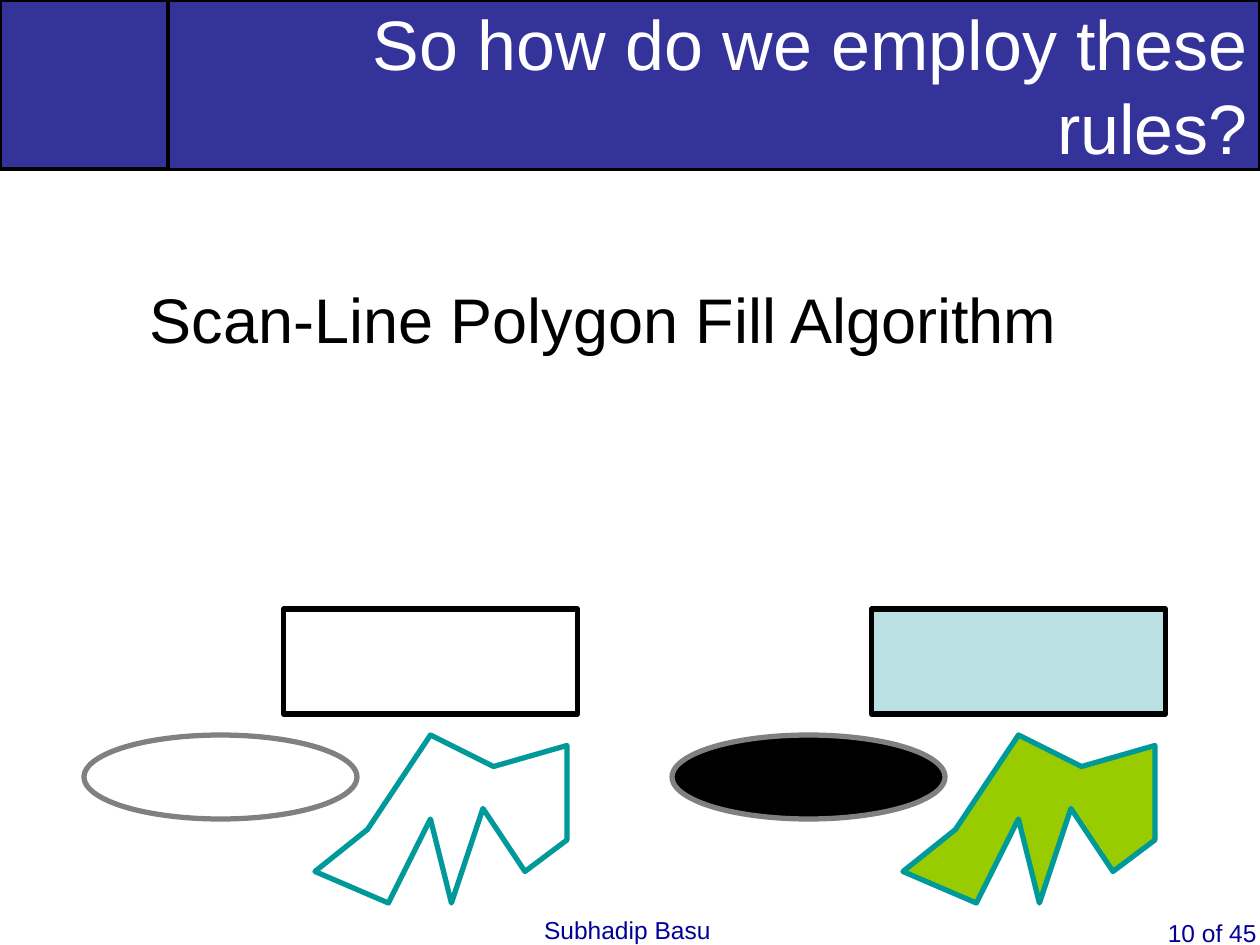
from dataclasses import dataclass

from pptx import Presentation
from pptx.dml.color import RGBColor
from pptx.enum.shapes import MSO_SHAPE as Preset
from pptx.enum.text import MSO_ANCHOR as Anchor, PP_ALIGN as Align
from pptx.shapes.autoshape import Shape
from pptx.slide import Slide
from pptx.util import Pt

BANNER_BLUE = "333399"
FOOTER_BLUE = "000099"
POLYGON = [(546, 474), (582, 420), (618, 438), (660, 426), (660, 480), (636, 498),
           (612, 462), (594, 516), (582, 468), (558, 516), (516, 498)]
UNFILLED_SHIFT = -336


@dataclass(frozen=True)
class Box:
    left: float
    top: float
    width: float
    height: float


@dataclass(frozen=True)
class Figure:
    preset: Preset
    box: Box
    fill: str
    line: str


@dataclass(frozen=True)
class Label:
    text: str
    box: Box
    size: float
    color: str
    wrap: bool = True


FIGURES = [
    Figure(Preset.RECTANGLE, Box(498, 348, 168, 60), "BBE0E3", "000000"),
    Figure(Preset.OVAL, Box(384, 420, 156, 48), "000000", "808080"),
]
LABELS = [
    Label("10 of 45", Box(660.25, 521.3, 70.5, 25), 14, FOOTER_BLUE),
    Label("Subhadip Basu", Box(303.8, 519.1, 109.4, 25), 14, FOOTER_BLUE, wrap=False),
    Label("Scan-Line Polygon Fill Algorithm", Box(78.5, 157, 605.5, 50), 36, "000000"),
]


def rgb(color: str) -> RGBColor:
    return RGBColor.from_string(color)


def style(shape: Shape, fill: str | None, line: str, line_width: float) -> None:
    shape.shadow.inherit = False
    if fill:
        shape.fill.solid()
        shape.fill.fore_color.rgb = rgb(fill)
    else:
        shape.fill.background()
    shape.line.color.rgb = rgb(line)
    shape.line.width = Pt(line_width)


def add_preset(slide: Slide, preset: Preset, box: Box, fill: str | None,
               line: str, line_width: float, shift: float = 0) -> Shape:
    shape = slide.shapes.add_shape(preset, Pt(box.left + shift), Pt(box.top),
                                   Pt(box.width), Pt(box.height))
    style(shape, fill, line, line_width)
    return shape


def add_polygon(slide: Slide, fill: str | None, shift: float) -> None:
    start, *others = [(Pt(x + shift), Pt(y)) for x, y in POLYGON]
    builder = slide.shapes.build_freeform(*start)
    builder.add_line_segments(others, close=True)
    style(builder.convert_to_shape(), fill, "009999", 3)


def add_figures(slide: Slide, filled: bool) -> None:
    """Draw the rectangle, ellipse and polygon, filled at right or in outline at left."""
    shift = 0 if filled else UNFILLED_SHIFT
    for figure in FIGURES:
        add_preset(slide, figure.preset, figure.box, figure.fill if filled else None,
                   figure.line, 3, shift)
    add_polygon(slide, "99CC00" if filled else None, shift)


def write(shape: Shape, text: str, size: float, color: str, align: Align) -> None:
    paragraph = shape.text_frame.paragraphs[0]
    paragraph.text = text
    paragraph.alignment = align
    paragraph.font.name = "Arial"
    paragraph.font.size = Pt(size)
    paragraph.font.color.rgb = rgb(color)


def add_label(slide: Slide, label: Label) -> None:
    box = label.box
    textbox = slide.shapes.add_textbox(Pt(box.left), Pt(box.top), Pt(box.width), Pt(box.height))
    textbox.text_frame.word_wrap = label.wrap
    write(textbox, label.text, label.size, label.color, Align.LEFT)


def add_banner(slide: Slide) -> None:
    add_preset(slide, Preset.RECTANGLE, Box(0, 0, 96, 96.5), BANNER_BLUE, "000000", 2)
    title = add_preset(slide, Preset.RECTANGLE, Box(96, 0, 624, 97), BANNER_BLUE, "000000", 2)
    title.text_frame.word_wrap = True
    title.text_frame.vertical_anchor = Anchor.MIDDLE
    write(title, "So how do we employ these rules?", 40, "FFFFFF", Align.RIGHT)


def main() -> None:
    presentation = Presentation()
    presentation.slide_width, presentation.slide_height = Pt(720), Pt(540)
    slide = presentation.slides.add_slide(presentation.slide_layouts[6])
    add_banner(slide)
    for label in LABELS:
        add_label(slide, label)
    for filled in (True, False):
        add_figures(slide, filled)
    presentation.save("out.pptx")


if __name__ == "__main__":
    main()
